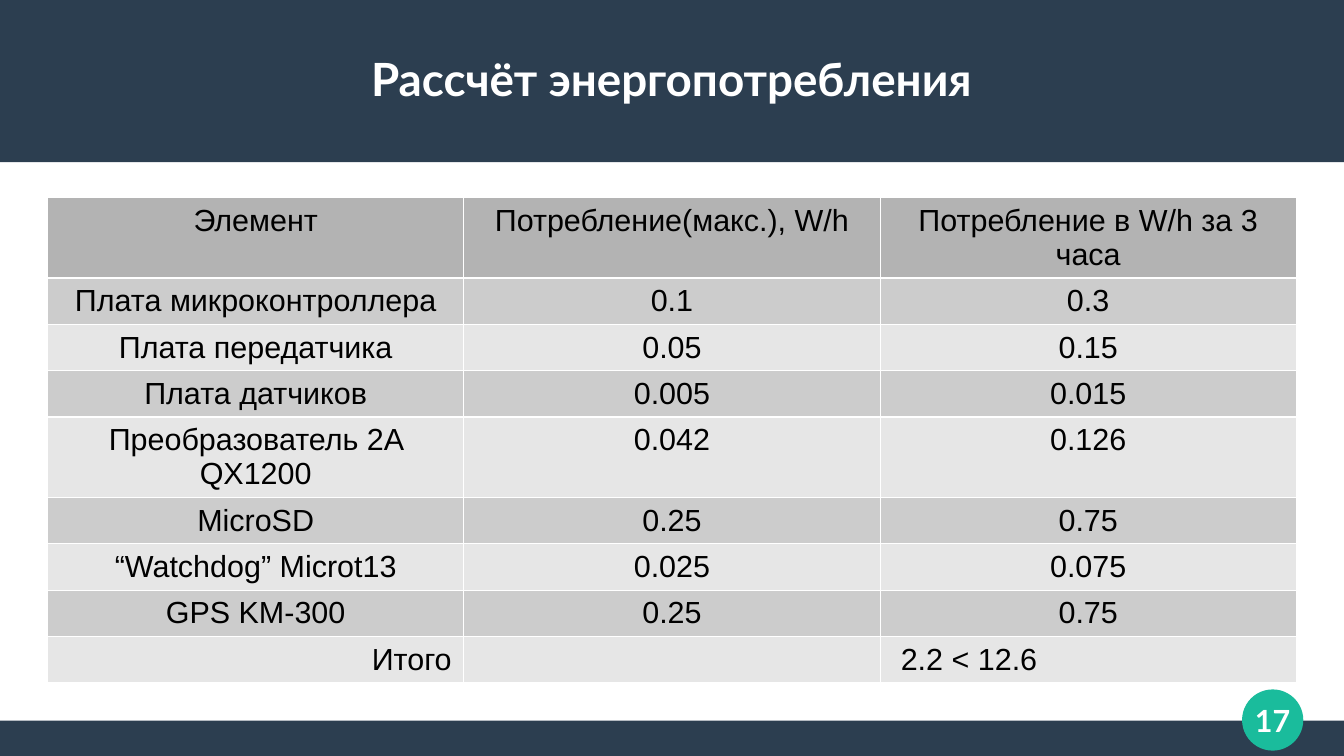
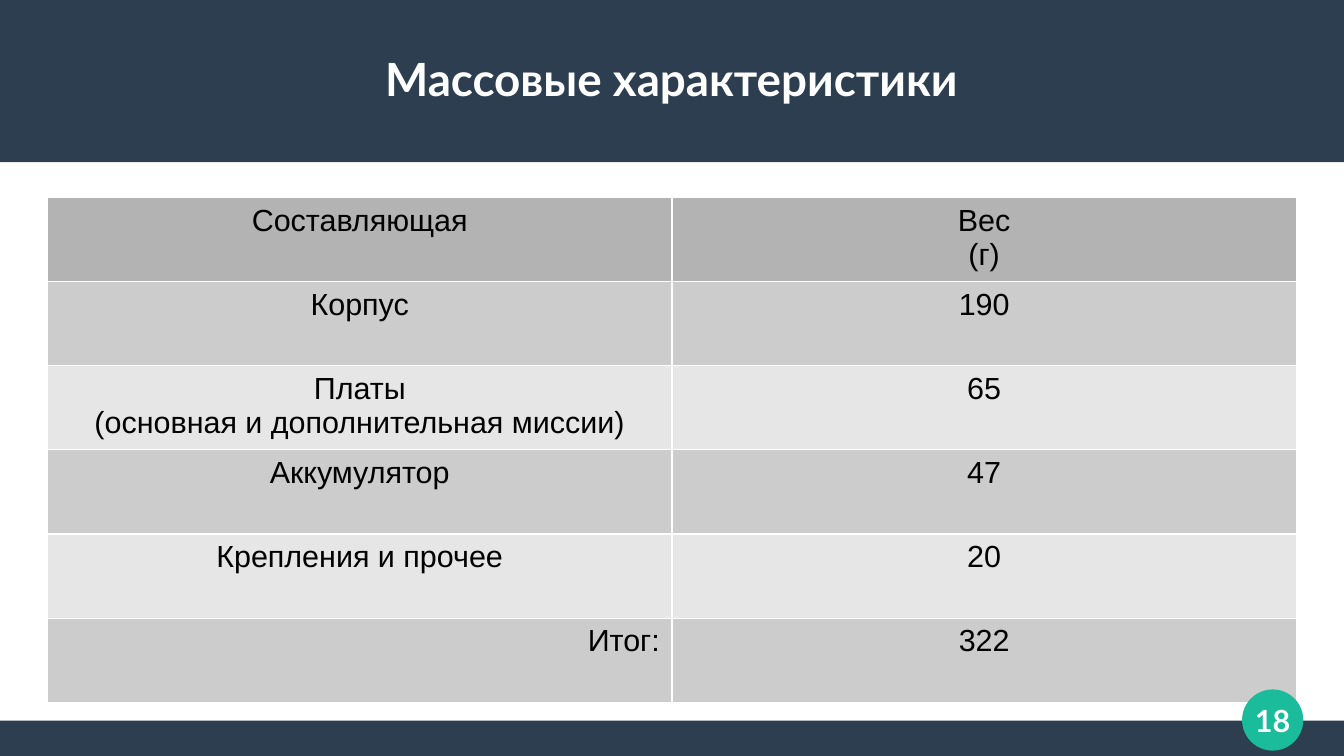
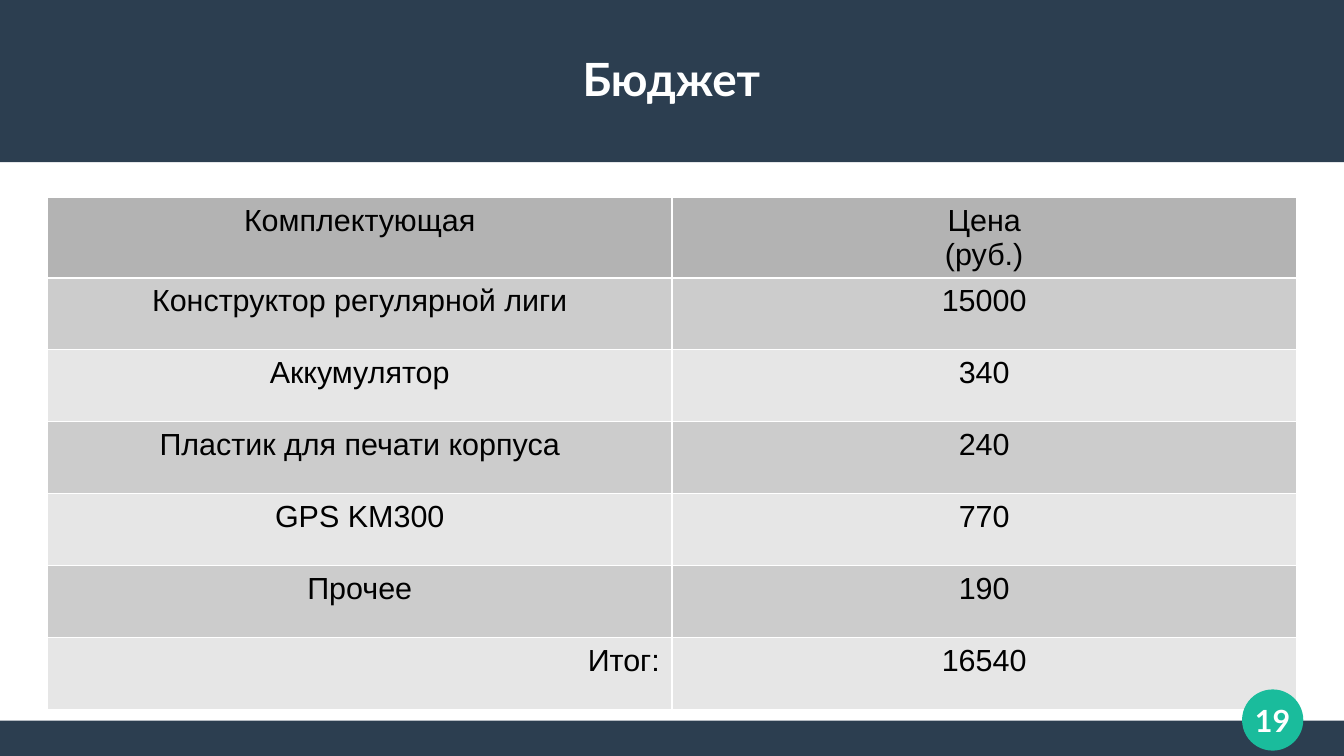
from lxml.etree import SubElement
from pptx import Presentation
from pptx.dml.color import RGBColor
from pptx.enum.shapes import MSO_SHAPE
from pptx.enum.text import MSO_ANCHOR, PP_ALIGN
from pptx.oxml.ns import qn
from pptx.util import Inches, Pt

NAVY = RGBColor(0x2C, 0x3E, 0x50)
TEAL = RGBColor(0x1A, 0xBC, 0x9C)
WHITE = RGBColor(0xFF, 0xFF, 0xFF)
BLACK = RGBColor(0x00, 0x00, 0x00)
HEADER_GREY = RGBColor(0xB3, 0xB3, 0xB3)
BAND_GREYS = (RGBColor(0xCC, 0xCC, 0xCC), RGBColor(0xE6, 0xE6, 0xE6))

SLIDE_W, SLIDE_H = 11.02, 6.2
MARGIN, TABLE_TOP, TABLE_W = 0.39, 1.62, 10.24


def write(tf, text, font="Lato", size=18, color=WHITE, bold=False,
          align=PP_ALIGN.CENTER):
    """Fill a text frame, one paragraph for each line of text."""
    for i, line in enumerate(text.split("\n")):
        p = tf.paragraphs[0] if i == 0 else tf.add_paragraph()
        p.alignment = align
        r = p.add_run()
        r.text = line
        r.font.name, r.font.size, r.font.bold = font, Pt(size), bold
        r.font.color.rgb = color


class Deck:
    def __init__(self):
        self.prs = Presentation()
        self.prs.slide_width = Inches(SLIDE_W)
        self.prs.slide_height = Inches(SLIDE_H)
        self.s = None

    def slide(self, title):
        """Start a slide with its bands and title."""
        self.s = self.prs.slides.add_slide(self.prs.slide_layouts[6])
        self.shape(MSO_SHAPE.RECTANGLE, 0, 5.91, SLIDE_W, 0.29, NAVY)
        self.shape(MSO_SHAPE.RECTANGLE, 0, 0, SLIDE_W, 1.33, NAVY)
        box = self.s.shapes.add_textbox(
            Inches(MARGIN), Inches(0.25), Inches(10.23), Inches(0.78))
        self.label(box, title, size=27, bold=True)

    def badge(self, number):
        """Add the page number; called last so that it stays in front."""
        sp = self.shape(MSO_SHAPE.OVAL, 10.19, 5.66, 0.49, 0.49, TEAL)
        sp.line.color.rgb = TEAL
        sp.line.width = Pt(0.85)
        self.label(sp, str(number), wrap=False, bold=True)

    def shape(self, kind, x, y, w, h, color):
        sp = self.s.shapes.add_shape(
            kind, Inches(x), Inches(y), Inches(w), Inches(h))
        sp.shadow.inherit = False
        sp.fill.solid()
        sp.fill.fore_color.rgb = color
        sp.line.fill.background()
        return sp

    def label(self, sp, text, wrap=True, **style):
        """Put text in the middle of a shape, without insets."""
        tf = sp.text_frame
        tf.margin_left = tf.margin_right = tf.margin_top = tf.margin_bottom = 0
        tf.vertical_anchor = MSO_ANCHOR.MIDDLE
        tf.word_wrap = wrap
        write(tf, text, **style)

    def table(self, rows, heights):
        """Add a banded table; the last row holds the total."""
        cols = len(rows[0])
        table = self.s.shapes.add_table(
            len(rows), cols, Inches(MARGIN), Inches(TABLE_TOP),
            Inches(TABLE_W), Inches(sum(heights))).table
        table.first_row = table.horz_banding = False
        for column in table.columns:
            column.width = Inches(TABLE_W / cols)
        for i, (row, height) in enumerate(zip(rows, heights)):
            table.rows[i].height = Inches(height)
            fill = BAND_GREYS[(i - 1) % 2] if i else HEADER_GREY
            for j, text in enumerate(row):
                is_total = i == len(rows) - 1 and j == 0
                align = PP_ALIGN.RIGHT if is_total else PP_ALIGN.CENTER
                self.cell(table.cell(i, j), text, fill, align)
        return table

    def cell(self, cell, text, fill, align):
        # White borders come before the fill in the cell properties
        tc_pr = cell._tc.get_or_add_tcPr()
        for side in ("a:lnL", "a:lnR", "a:lnT", "a:lnB"):
            ln = SubElement(tc_pr, qn(side), w=str(Pt(0.75)))
            solid = SubElement(ln, qn("a:solidFill"))
            SubElement(solid, qn("a:srgbClr"), val=str(WHITE))
        cell.fill.solid()
        cell.fill.fore_color.rgb = fill
        # No bottom inset, so that text never stretches the row
        cell.margin_bottom = 0
        if text:
            write(cell.text_frame, text, font="Arial", color=BLACK, align=align)


def main():
    deck = Deck()

    # Power consumption
    deck.slide("Рассчёт энергопотребления")
    power = deck.table([
        ("Элемент", "Потребление(макс.), W/h", "Потребление в W/h за 3 часа"),
        ("Плата микроконтроллера", "0.1", "0.3"),
        ("Плата передатчика", "0.05", "0.15"),
        ("Плата датчиков", "0.005", "0.015"),
        ("Преобразователь 2A QX1200", "0.042", "0.126"),
        ("MicroSD", "0.25", "0.75"),
        ("“Watchdog” Microt13", "0.025", "0.075"),
        ("GPS KM-300", "0.25", "0.75"),
        ("Итого", "", "2.2 < 12.6"),
    ], [0.66] + [0.38] * 3 + [0.66] + [0.38] * 4)
    balance = power.cell(8, 2)
    balance.margin_left = Inches(0.17)
    balance.text_frame.paragraphs[0].alignment = PP_ALIGN.LEFT
    deck.badge(17)

    # Mass
    deck.slide("Массовые характеристики")
    deck.table([
        ("Составляющая", "Вес\n(г)"),
        ("Корпус", "190"),
        ("Платы\n(основная и дополнительная миссии)", "65"),
        ("Аккумулятор", "47"),
        ("Крепления и прочее", "20"),
        ("Итог:", "322"),
    ], [0.69] * 6)
    deck.badge(18)

    # Budget
    deck.slide("Бюджет")
    deck.table([
        ("Комплектующая", "Цена\n(руб.)"),
        ("Конструктор регулярной лиги", "15000"),
        ("Аккумулятор", "340"),
        ("Пластик для печати корпуса", "240"),
        ("GPS KM300", "770"),
        ("Прочее", "190"),
        ("Итог:", "16540"),
    ], [0.66] + [0.59] * 6)
    deck.badge(19)

    deck.prs.save("out.pptx")


if __name__ == "__main__":
    main()
